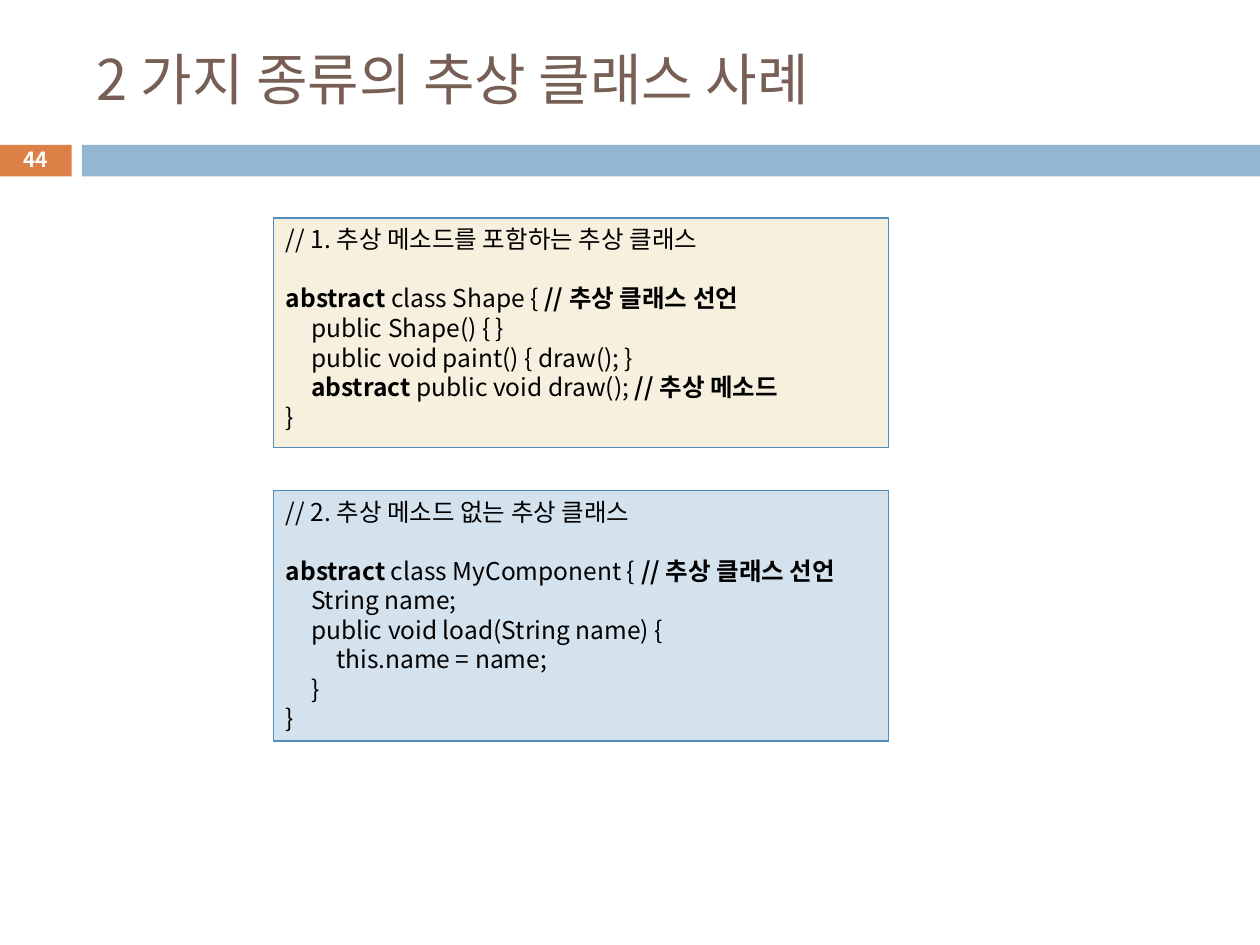
import pptx
import pptx.dml.color
import pptx.enum.shapes
import pptx.enum.text
import pptx.oxml.ns
import pptx.util
from lxml import etree

RGB = pptx.dml.color.RGBColor
Inches, Pt = pptx.util.Inches, pptx.util.Pt
ALIGN, ANCHOR = pptx.enum.text.PP_ALIGN, pptx.enum.text.MSO_ANCHOR
qn = pptx.oxml.ns.qn

ORANGE, BLUE = RGB(0xDD, 0x80, 0x47), RGB(0x94, 0xB6, 0xD2)
CREAM, PALE_BLUE = RGB(0xF7, 0xF0, 0xDE), RGB(0xD4, 0xE2, 0xED)
EDGE, BROWN = RGB(0x55, 0x8B, 0xB8), RGB(0x77, 0x5F, 0x55)
BLACK, WHITE = RGB(0, 0, 0), RGB(0xFF, 0xFF, 0xFF)
FONT = "Noto Sans CJK KR"

TITLE = "2 가지 종류의 추상 클래스 사례"
PAGE_NUMBER = "44"

# Each line is a list of (text, bold) pieces; the heading is followed by a gap.
LISTINGS = [
    dict(top=1.73, height=1.82, fill=CREAM, lines=[
        [("// 1. 추상 메소드를 포함하는 추상 클래스", False)],
        [("abstract ", True), ("class Shape { ", False), ("// 추상 클래스 선언", True)],
        [("\tpublic Shape() { }", False)],
        [("\tpublic void paint() { draw(); }", False)],
        [("\t", False), ("abstract", True), (" public void draw(); ", False),
         ("// 추상 메소드", True)],
        [("}", False)],
    ]),
    dict(top=3.89, height=1.99, fill=PALE_BLUE, lines=[
        [("// 2. 추상 메소드 없는 추상 클래스", False)],
        [("abstract", True), (" class MyComponent { ", False), ("// 추상 클래스 선언", True)],
        [("\tString name;", False)],
        [("\tpublic void load(String name) {", False)],
        [("\t\tthis.name = name;", False)],
        [("\t}", False)],
        [("}", False)],
    ]),
]
LISTING_LEFT, LISTING_WIDTH = 2.17, 4.88
LINE_PITCH = 16.9
TAB_STEP = 0.2
BAND_TOP, BAND_HEIGHT = 1.15, 0.25
NUMBER_WIDTH, BAND_LEFT = 0.57, 0.65
SLIDE_WIDTH, SLIDE_HEIGHT = 10, 7.5


def add_tab_stops(paragraph, count=2):
    tab_list = etree.SubElement(paragraph._p.get_or_add_pPr(), qn("a:tabLst"))
    for level in range(1, count + 1):
        etree.SubElement(tab_list, qn("a:tab"),
                         pos=str(Inches(TAB_STEP * level)), algn="l")


def write(frame, lines, size, color, align=ALIGN.LEFT, anchor=ANCHOR.TOP,
          pitch=None, gap_after_heading=0, tabs=False):
    frame.word_wrap = True
    frame.vertical_anchor = anchor
    for index, pieces in enumerate(lines):
        paragraph = frame.paragraphs[0] if index == 0 else frame.add_paragraph()
        if tabs:
            add_tab_stops(paragraph)
        paragraph.alignment = align
        if pitch:
            paragraph.line_spacing = Pt(pitch)
        if index == 1:
            paragraph.space_before = Pt(gap_after_heading)
        for text, bold in pieces:
            run = paragraph.add_run()
            run.text = text
            run.font.size, run.font.bold, run.font.name = Pt(size), bold, FONT
            run.font.color.rgb = color
            etree.SubElement(run._r.get_or_add_rPr(), qn("a:ea"), typeface=FONT)


def add_panel(slide, left, top, width, height, fill, edge=None):
    panel = slide.shapes.add_shape(
        pptx.enum.shapes.MSO_SHAPE.RECTANGLE,
        *map(Inches, (left, top, width, height)))
    panel.shadow.inherit = False
    panel.fill.solid()
    panel.fill.fore_color.rgb = fill
    if edge is None:
        panel.line.fill.background()
    else:
        panel.line.color.rgb = edge
        panel.line.width = Pt(0.75)
    return panel


def main():
    deck = pptx.Presentation()
    deck.slide_width, deck.slide_height = Inches(SLIDE_WIDTH), Inches(SLIDE_HEIGHT)
    slide = deck.slides.add_slide(deck.slide_layouts[6])

    add_panel(slide, 0, BAND_TOP, NUMBER_WIDTH, BAND_HEIGHT, ORANGE)
    add_panel(slide, BAND_LEFT, BAND_TOP, SLIDE_WIDTH - BAND_LEFT, BAND_HEIGHT, BLUE)

    title = slide.shapes.add_textbox(*map(Inches, (0.67, 0.25, 8.92, 0.74)))
    write(title.text_frame, [[(TITLE, False)]], 32, BROWN, anchor=ANCHOR.MIDDLE)

    for listing in LISTINGS:
        panel = add_panel(slide, LISTING_LEFT, listing["top"], LISTING_WIDTH,
                          listing["height"], listing["fill"], EDGE)
        write(panel.text_frame, listing["lines"], 14, BLACK, pitch=LINE_PITCH,
              gap_after_heading=LINE_PITCH, tabs=True)

    number = slide.shapes.add_textbox(
        *map(Inches, (0, BAND_TOP - 0.02, NUMBER_WIDTH, BAND_HEIGHT + 0.02)))
    write(number.text_frame, [[(PAGE_NUMBER, True)]], 11.9, WHITE,
          align=ALIGN.CENTER, anchor=ANCHOR.MIDDLE)

    deck.save("out.pptx")


if __name__ == "__main__":
    main()
